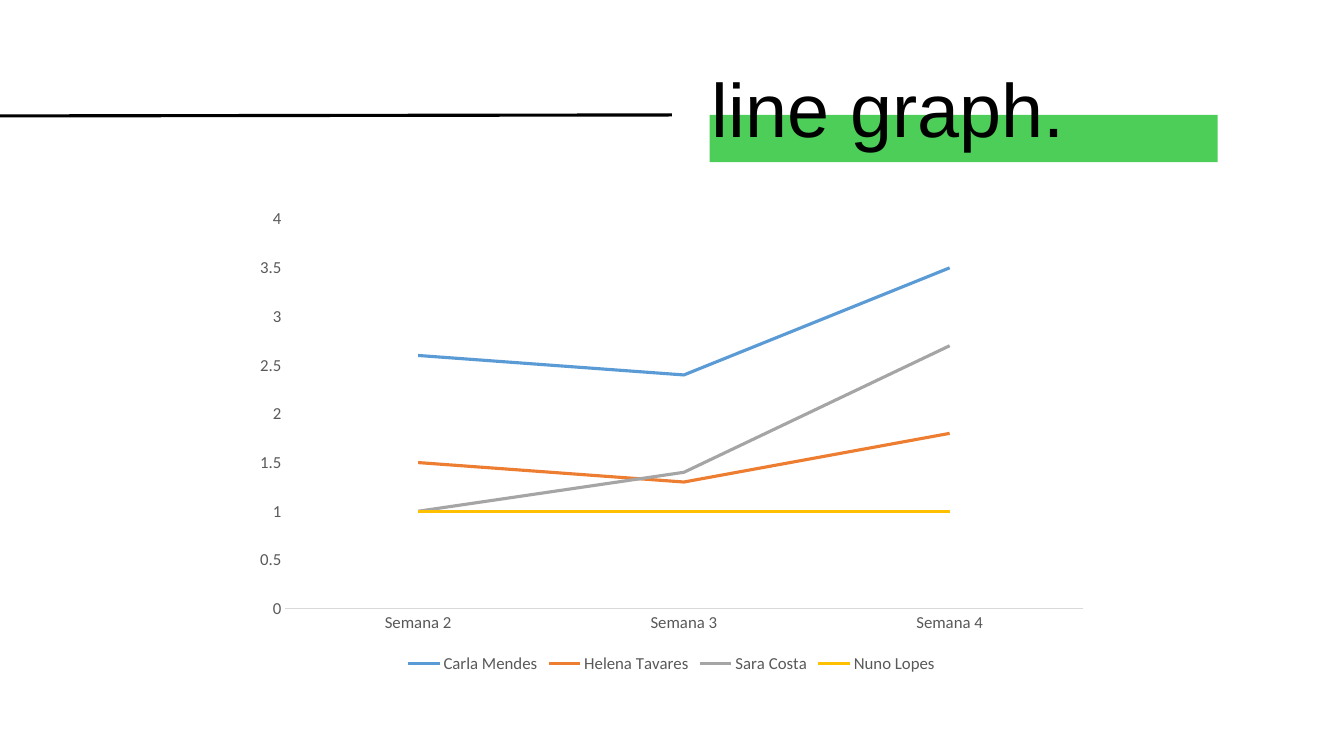
from lxml.etree import SubElement
from pptx import Presentation
from pptx.chart.data import CategoryChartData
from pptx.dml.color import RGBColor
from pptx.enum.chart import XL_CHART_TYPE, XL_LEGEND_POSITION, XL_MARKER_STYLE, XL_TICK_MARK
from pptx.enum.shapes import MSO_CONNECTOR, MSO_SHAPE
from pptx.enum.text import MSO_ANCHOR, MSO_AUTO_SIZE, PP_ALIGN
from pptx.oxml.ns import qn
from pptx.util import Pt

COLORS = {
    "black": "000000",
    "highlight": "4DCE59",
    "label": "595959",
    "axis": "D9D9D9",
    "blue": "5B9BD5",
    "orange": "ED7D31",
    "gray": "A5A5A5",
    "yellow": "FFC000",
}
WEEKS = ["Semana 2", "Semana 3", "Semana 4"]
PEOPLE = [
    ("Carla Mendes", "blue", (2.6, 2.4, 3.5)),
    ("Helena Tavares", "orange", (1.5, 1.3, 1.8)),
    ("Sara Costa", "gray", (1, 1.4, 2.7)),
    ("Nuno Lopes", "yellow", (1, 1, 1)),
]


def rgb(name):
    return RGBColor.from_string(COLORS[name])


def style_font(font, name, size, color):
    font.name = name
    font.size = Pt(size)
    font.color.rgb = rgb(color)


def style_line(line, color, width):
    line.color.rgb = rgb(color)
    line.width = Pt(width)


def add_bar(slide, left, top, width, height, color):
    sp = slide.shapes.add_shape(
        MSO_SHAPE.RECTANGLE, Pt(left), Pt(top), Pt(width), Pt(height))
    sp.shadow.inherit = False
    sp.fill.solid()
    sp.fill.fore_color.rgb = rgb(color)
    sp.line.fill.background()


def add_rule(slide, x1, y1, x2, y2):
    rule = slide.shapes.add_connector(
        MSO_CONNECTOR.STRAIGHT, Pt(x1), Pt(y1), Pt(x2), Pt(y2))
    style_line(rule.line, "black", 2.25)
    SubElement(rule._element.spPr, qn("a:effectLst"))


def set_title(slide, text, left, top, width, height):
    """Fill the title placeholder and bring it in front of the green bar."""
    sp = slide.shapes.title
    sp.left, sp.top, sp.width, sp.height = Pt(left), Pt(top), Pt(width), Pt(height)
    tf = sp.text_frame
    tf.word_wrap = True
    tf.auto_size = MSO_AUTO_SIZE.NONE
    tf.vertical_anchor = MSO_ANCHOR.MIDDLE
    p = tf.paragraphs[0]
    p.alignment = PP_ALIGN.LEFT
    p.line_spacing = 0.9
    r = p.add_run()
    r.text = text
    style_font(r.font, "Arial", 54, "black")
    sp._element.getparent().append(sp._element)


def style_axis(axis):
    axis.has_major_gridlines = False
    axis.major_tick_mark = axis.minor_tick_mark = XL_TICK_MARK.NONE
    style_font(axis.tick_labels.font, "Calibri", 12, "label")


def add_line_chart(slide, left, top, width, height):
    data = CategoryChartData()
    data.categories = WEEKS
    for name, _, values in PEOPLE:
        data.add_series(name, values)
    chart = slide.shapes.add_chart(
        XL_CHART_TYPE.LINE, Pt(left), Pt(top), Pt(width), Pt(height), data).chart
    chart.has_title = False
    style_font(chart.font, "Calibri", 10, "black")
    chart.has_legend = True
    chart.legend.position = XL_LEGEND_POSITION.BOTTOM
    chart.legend.include_in_layout = False
    style_font(chart.legend.font, "Calibri", 12, "label")

    weeks, scores = chart.category_axis, chart.value_axis
    style_axis(weeks)
    style_line(weeks.format.line, "axis", 0.75)
    style_axis(scores)
    scores.format.line.fill.background()
    scores.minimum_scale, scores.maximum_scale, scores.major_unit = 0, 4, 0.5
    scores.tick_labels.number_format = "General"
    scores.tick_labels.number_format_is_linked = False

    plot = chart.plots[0]
    plot.vary_by_categories = False
    for series, (_, color, _) in zip(plot.series, PEOPLE):
        series.smooth = False
        series.marker.style = XL_MARKER_STYLE.NONE
        style_line(series.format.line, color, 2.25)


def main():
    prs = Presentation()
    prs.slide_width, prs.slide_height = Pt(960), Pt(540)
    slide = prs.slides.add_slide(prs.slide_layouts[5])
    add_bar(slide, 506.9, 82.1, 362.9, 33.8, "highlight")
    add_rule(slide, 0, 82.8, 480, 82.1)
    set_title(slide, "line graph.", 501.1, 28.8, 392.4, 104.4)
    add_line_chart(slide, 173.5, 142.6, 612, 341.3)
    prs.save("out.pptx")


if __name__ == "__main__":
    main()
